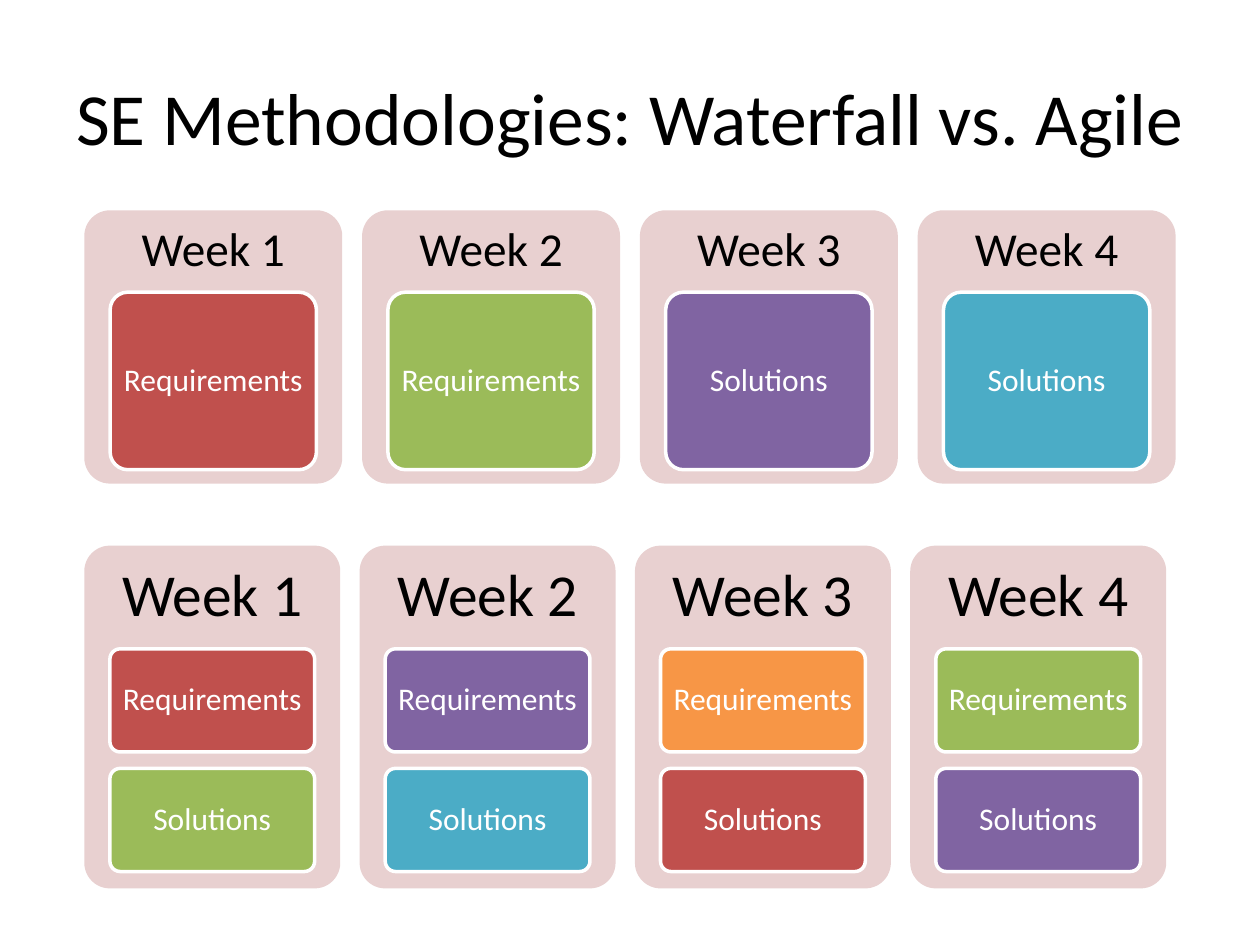
import pptx
import pptx.util
import pptx.dml.color
import pptx.enum.shapes
import pptx.enum.text

Cm, Pt = pptx.util.Cm, pptx.util.Pt


def tint(code):
    return pptx.dml.color.RGBColor.from_string(code)


def add(x, y, w, h, text="", size=18, color="FFFFFF", fill=None, line=None, pad=0.1):
    """Add a rounded card if a fill is given, otherwise a plain text box."""
    place = [Cm(v) for v in (x, y, w, h)]
    if fill:
        kind = pptx.enum.shapes.MSO_SHAPE.ROUNDED_RECTANGLE
        shape = slide.shapes.add_shape(kind, *place)
        shape.adjustments[0] = 0.1
        shape.shadow.inherit = False
        shape.fill.solid()
        shape.fill.fore_color.rgb = tint(fill)
        if line:
            shape.line.color.rgb = tint(line)
            shape.line.width = Pt(2)
        else:
            shape.line.fill.background()
    else:
        shape = slide.shapes.add_textbox(*place)
    if not text:
        return
    frame = shape.text_frame
    frame.text = text
    frame.word_wrap = True
    frame.vertical_anchor = pptx.enum.text.MSO_ANCHOR.MIDDLE
    frame.margin_left = frame.margin_right = Cm(pad)
    frame.margin_top = frame.margin_bottom = Cm(pad)
    para = frame.paragraphs[0]
    para.alignment = pptx.enum.text.PP_ALIGN.CENTER
    para.line_spacing = 0.9 if size < 40 else 1.0
    font = para.runs[0].font
    font.name, font.size = "Calibri", Pt(size)
    font.color.rgb = tint(color)


deck = pptx.Presentation()
deck.slide_width, deck.slide_height = Cm(25.4), Cm(19.05)
slide = deck.slides.add_slide(deck.slide_layouts[6])

# Title
add(1.27, 0.76, 22.86, 3.18, "SE Methodologies: Waterfall vs. Agile", 42, "000000")

# Task colours
red, green, violet = "C0504D", "9BBB59", "8064A2"
blue, orange = "4BACC6", "F79646"
req, sol = "Requirements", "Solutions"

# Each plan: top, height, card width, column step, head height, head size,
# task height, task step, and the tasks of each week
plans = [
    (11.0, 6.91, 5.16, 5.55, 2.08, 34, 2.08, 2.41, [
        [(req, red), (sol, green)],
        [(req, violet), (sol, blue)],
        [(req, orange), (sol, red)],
        [(req, green), (sol, violet)],
    ]),
    (4.24, 5.51, 5.2, 5.6, 1.65, 27, 3.58, 0, [
        [(req, red)], [(req, green)], [(sol, violet)], [(sol, blue)],
    ]),
]

# Weekly cards with their tasks
for top, tall, wide, step, head, size, high, drop, weeks in plans:
    for col, tasks in enumerate(weeks):
        left = 1.7 + col * step
        add(left, top, wide, tall, fill="E8D0D0")
        add(left, top, wide, head, f"Week {col + 1}", size, "000000", pad=0.3)
        for row, (name, shade) in enumerate(tasks):
            add(left + wide / 10, top + head + row * drop, wide * 0.8, high,
                name, fill=shade, line="FFFFFF")

deck.save("out.pptx")
